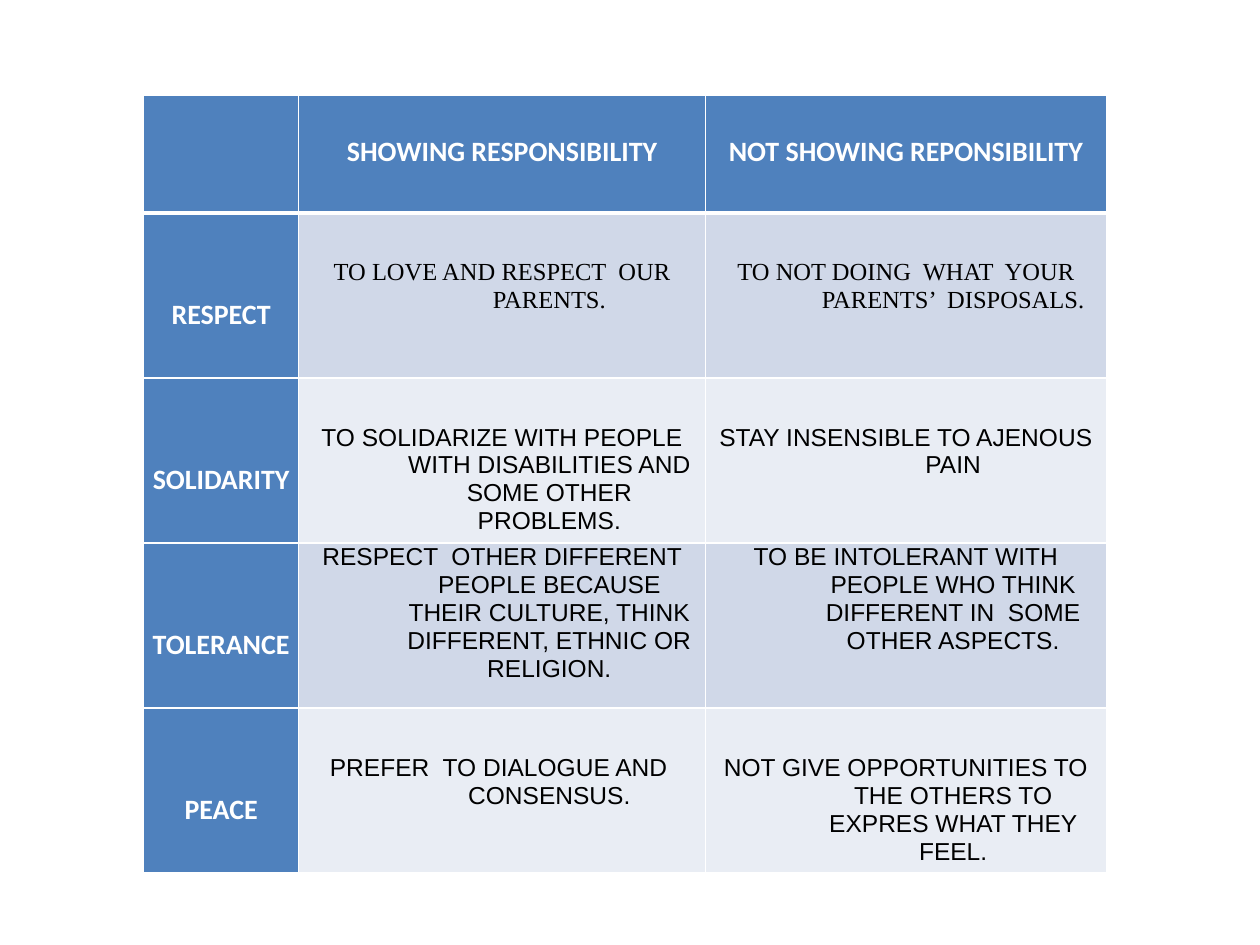
from lxml import etree
from pptx import Presentation
from pptx.dml.color import RGBColor
from pptx.enum.text import MSO_ANCHOR, PP_ALIGN
from pptx.oxml.ns import qn
from pptx.util import Inches, Pt

CENTER = PP_ALIGN.CENTER
TOP = MSO_ANCHOR.TOP

BLUE = RGBColor(0x4F, 0x81, 0xBD)
PALE_BLUE = RGBColor(0xD0, 0xD8, 0xE8)
PALER_BLUE = RGBColor(0xE9, 0xED, 0xF4)
WHITE = RGBColor(0xFF, 0xFF, 0xFF)
BLACK = RGBColor(0, 0, 0)

COLUMN_WIDTHS = [1.23, 3.23, 3.18]
ROW_HEIGHTS = [0.93] + [1.31] * 4
HANGING_INDENT = Inches(0.75)
ONE_LINE = 0.36
TWO_LINES = 0.72

HEADINGS = ["", "SHOWING RESPONSIBILITY", "NOT SHOWING REPONSIBILITY"]
VALUES = [
    ("RESPECT", "TO LOVE AND RESPECT  OUR PARENTS.",
     "TO NOT DOING  WHAT  YOUR PARENTS’  DISPOSALS.",
     "Times New Roman", ONE_LINE),
    ("SOLIDARITY",
     "TO SOLIDARIZE WITH PEOPLE WITH DISABILITIES AND SOME OTHER PROBLEMS.",
     "STAY INSENSIBLE TO AJENOUS PAIN", "Arial", ONE_LINE),
    ("TOLERANCE",
     "RESPECT  OTHER DIFFERENT PEOPLE BECAUSE THEIR CULTURE, THINK "
     "DIFFERENT, ETHNIC OR RELIGION.",
     "TO BE INTOLERANT WITH PEOPLE WHO THINK DIFFERENT IN  SOME OTHER ASPECTS.",
     "Arial", 0),
    ("PEACE", "PREFER  TO DIALOGUE AND  CONSENSUS.",
     "NOT GIVE OPPORTUNITIES TO THE OTHERS TO EXPRES WHAT THEY FEEL.",
     "Arial", ONE_LINE),
]


def set_borders(cell, top=1, bottom=1):
    properties = cell._tc.get_or_add_tcPr()
    for side, width in (("L", 1), ("R", 1), ("T", top), ("B", bottom)):
        line = etree.SubElement(properties, qn(f"a:ln{side}"), w=str(Pt(width)))
        fill = etree.SubElement(line, qn("a:solidFill"))
        etree.SubElement(fill, qn("a:srgbClr"), val=str(WHITE))


def fill_cell(cell, color):
    cell.fill.solid()
    cell.fill.fore_color.rgb = color


def write_cell(cell, text, font_name, size, color, bold, top):
    cell.margin_left = cell.margin_right = Inches(0.06)
    cell.margin_top, cell.margin_bottom = Inches(top), 0
    cell.vertical_anchor = TOP
    paragraph = cell.text_frame.paragraphs[0]
    paragraph.text = text
    paragraph.alignment = CENTER
    paragraph.line_spacing = Pt(16)
    indents = paragraph._p.get_or_add_pPr()
    indents.set("marL", str(HANGING_INDENT))
    indents.set("indent", str(-HANGING_INDENT))
    for run in paragraph.runs:
        run.font.name = font_name
        run.font.size = Pt(size)
        run.font.bold = bold
        run.font.color.rgb = color


def write_heading(cell, text, top):
    fill_cell(cell, BLUE)
    write_cell(cell, text, "Calibri", 16, WHITE, True, top)


def write_example(cell, text, font_name, top, band):
    fill_cell(cell, band)
    write_cell(cell, text, font_name, 14, BLACK, False, top)


def add_values_table(slide):
    frame = slide.shapes.add_table(
        len(ROW_HEIGHTS), len(COLUMN_WIDTHS), Inches(1.14), Inches(0.76),
        Inches(sum(COLUMN_WIDTHS)), Inches(sum(ROW_HEIGHTS)))
    table = frame.table
    for column, width in zip(table.columns, COLUMN_WIDTHS):
        column.width = Inches(width)
    for index, (row, height) in enumerate(zip(table.rows, ROW_HEIGHTS)):
        row.height = Inches(height)
        for cell in row.cells:
            set_borders(cell, top=3 if index == 1 else 1,
                        bottom=3 if index == 0 else 1)
    for column, heading in enumerate(HEADINGS):
        write_heading(table.cell(0, column), heading, ONE_LINE)
    for row, (value, showing, not_showing, font_name, top) in enumerate(VALUES, 1):
        band = PALE_BLUE if row % 2 else PALER_BLUE
        write_heading(table.cell(row, 0), value, TWO_LINES)
        for column, example in enumerate((showing, not_showing), 1):
            write_example(table.cell(row, column), example, font_name, top, band)


def main():
    presentation = Presentation()
    presentation.slide_width = Inches(10)
    presentation.slide_height = Inches(7.5)
    slide = presentation.slides.add_slide(presentation.slide_layouts[6])
    add_values_table(slide)
    presentation.save("out.pptx")


main()
